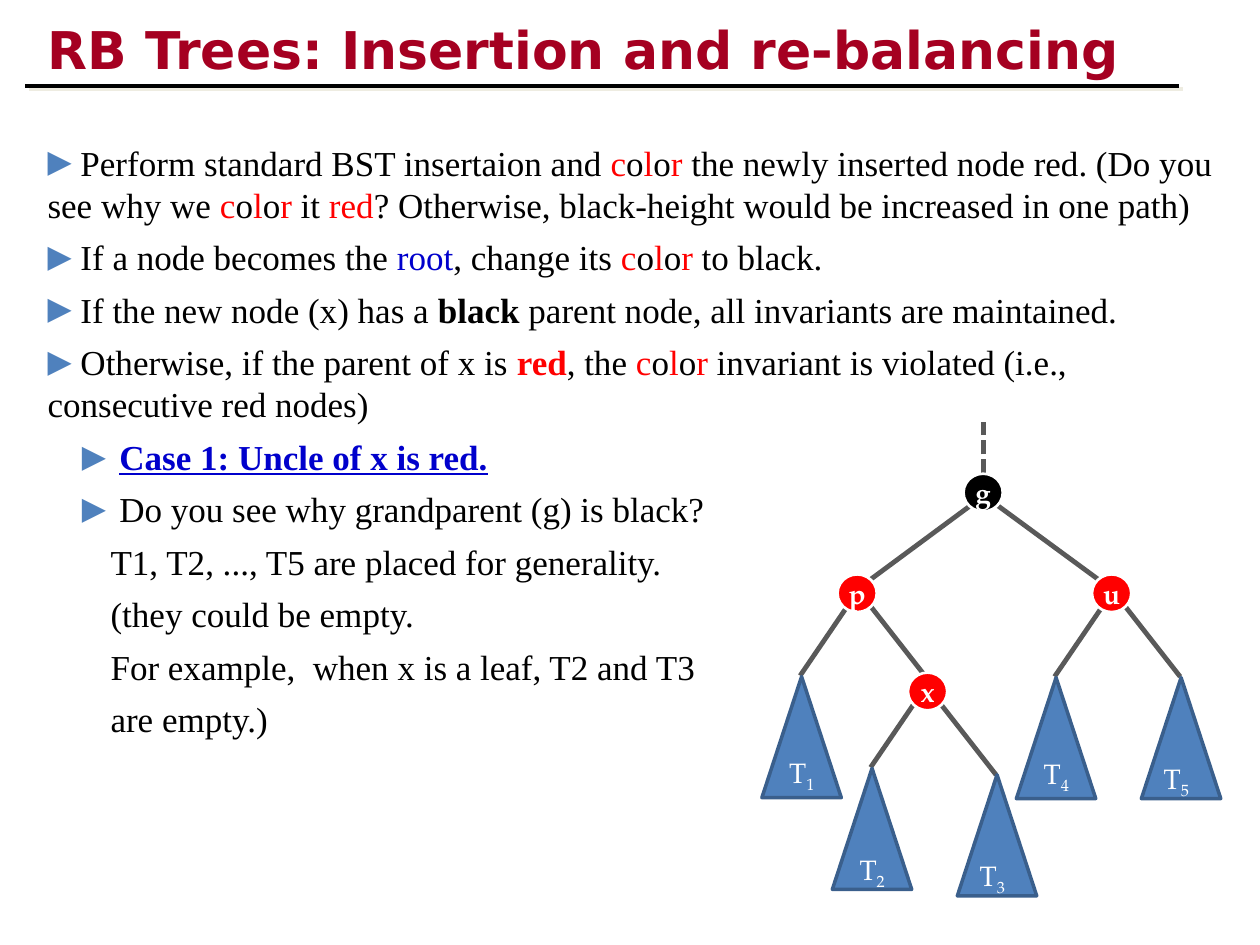
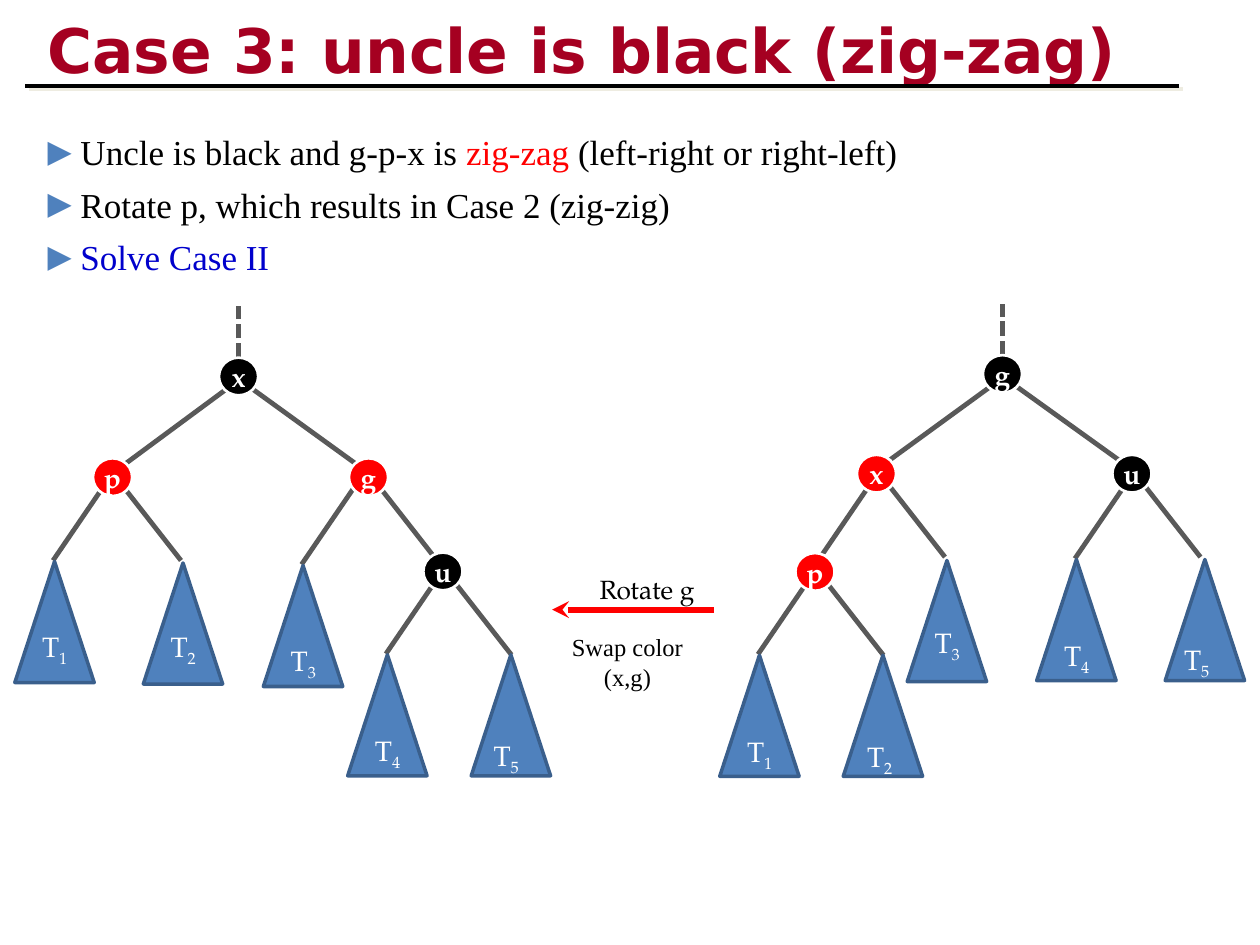
"""Build two slides on rebalancing red-black trees after insertion."""
from dataclasses import dataclass
from typing import Optional

from lxml.etree import SubElement
from pptx import Presentation
from pptx.dml.color import RGBColor
from pptx.enum.dml import MSO_LINE
from pptx.enum.shapes import MSO_CONNECTOR, MSO_SHAPE
from pptx.enum.text import MSO_ANCHOR, PP_ALIGN
from pptx.oxml.ns import qn
from pptx.util import Cm, Pt


@dataclass(frozen=True)
class Theme:
    title: str = "A50021"
    shadow: str = "EEECE1"
    black: str = "000000"
    white: str = "FFFFFF"
    red: str = "FF0000"
    blue: str = "0000CC"
    edge: str = "595959"
    accent: str = "4F81BD"
    outline: str = "3A5F8C"
    title_font: str = "DejaVu Sans"
    body_font: str = "Times New Roman"
    tree_font: str = "TeX Gyre Pagella"
    body_size: float = 20
    tree_size: float = 16
    rotate_size: float = 15
    swap_size: float = 14


THEME = Theme()


@dataclass(frozen=True)
class Span:
    text: str
    color: str = THEME.black
    bold: bool = False
    underline: bool = False
    baseline: int = 0


@dataclass(frozen=True)
class Bullet:
    spans: list
    level: int = 0
    marked: bool = True


@dataclass(frozen=True)
class Leaf:
    number: int
    dx: float
    dy: float
    label_x: float = 0.3
    label_y: float = 1.47


@dataclass(frozen=True)
class Node:
    letter: str
    color: str
    dx: float
    dy: float
    left: Optional[object] = None
    right: Optional[object] = None


class Painter:
    NODE_WIDTH, NODE_HEIGHT = 0.79, 0.76
    LEAF_WIDTH, LEAF_HEIGHT = 1.6, 2.44

    def __init__(self, deck, theme):
        self.deck, self.theme, self.page = deck, theme, None

    def new_page(self, title, title_size):
        self.page = self.deck.slides.add_slide(self.deck.slide_layouts[6])
        frame = self.text_frame(0.71, 0.13, 23.01, 1.7, MSO_ANCHOR.MIDDLE)
        span = self.add_span(frame.paragraphs[0], Span(title, self.theme.title, True),
                             self.theme.title_font, title_size)
        fill = span._r.rPr.find(qn("a:solidFill"))
        fill.addnext(self.add_shadow(span._r.rPr))

    def title_rule(self):
        rule = self.line((0.51, 1.73), (23.77, 1.73), self.theme.black, 2.25)
        properties = rule._element.spPr
        properties.remove(properties.find(qn("a:effectLst")))
        self.add_shadow(properties)

    def add_shadow(self, parent):
        effects = SubElement(parent, qn("a:effectLst"))
        shadow = SubElement(effects, qn("a:outerShdw"), blurRad="0", dist=str(Pt(2.8)),
                            dir="2700000", algn="ctr", rotWithShape="0")
        SubElement(shadow, qn("a:srgbClr"), val=self.theme.shadow)
        return effects

    def text_frame(self, left, top, width, height, anchor=MSO_ANCHOR.TOP):
        box = self.page.shapes.add_textbox(Cm(left), Cm(top), Cm(width), Cm(height))
        frame = box.text_frame
        frame.word_wrap = True
        frame.vertical_anchor = anchor
        return frame

    def add_span(self, para, content, font, size):
        span = para.add_run()
        span.text = content.text
        span.font.name, span.font.size = font, Pt(size)
        span.font.bold = content.bold
        span.font.underline = content.underline
        span.font.color.rgb = RGBColor.from_string(content.color)
        if content.baseline:
            span._r.rPr.set("baseline", str(content.baseline * 1000))
        return span

    def text(self, left, top, width, height, spans, font, size, align=PP_ALIGN.LEFT):
        para = self.text_frame(left, top, width, height).paragraphs[0]
        para.alignment = align
        for content in spans:
            self.add_span(para, content, font, size)

    def bullets(self, top, height, items):
        frame = self.text_frame(0.71, top, 24.18, height)
        for index, item in enumerate(items):
            para = frame.add_paragraph() if index else frame.paragraphs[0]
            para.level = item.level
            para.space_before = Pt(6)
            properties = para._p.get_or_add_pPr()
            hanging = item.level and item.marked
            properties.set("marL", str(Cm(1.27 * item.level)))
            properties.set("indent", str(Cm(-0.58) if hanging else 0))
            if item.marked:
                color = SubElement(properties, qn("a:buClr"))
                SubElement(color, qn("a:srgbClr"), val=self.theme.accent)
                SubElement(properties, qn("a:buSzPct"), val="90000")
                SubElement(properties, qn("a:buFont"), typeface=self.theme.title_font)
                SubElement(properties, qn("a:buChar"), char="▶")
            else:
                SubElement(properties, qn("a:buNone"))
            for content in item.spans:
                self.add_span(para, content, self.theme.body_font, self.theme.body_size)

    def line(self, start, end, color, width, dashed=False, arrow=False):
        connector = self.page.shapes.add_connector(
            MSO_CONNECTOR.STRAIGHT, *(Cm(value) for value in (*start, *end)))
        connector.line.color.rgb = RGBColor.from_string(color)
        connector.line.width = Pt(width)
        if dashed:
            connector.line.dash_style = MSO_LINE.SQUARE_DOT
        if arrow:
            SubElement(connector.line._get_or_add_ln(), qn("a:headEnd"), type="stealth")
        SubElement(connector._element.spPr, qn("a:effectLst"))
        return connector

    def edge(self, start, end, dashed=False):
        self.line(start, end, self.theme.edge, 2.75, dashed)

    def shape(self, kind, left, top, width, height, fill, outline, weight):
        shape = self.page.shapes.add_shape(kind, Cm(left), Cm(top), Cm(width), Cm(height))
        shape.shadow.inherit = False
        shape.fill.solid()
        shape.fill.fore_color.rgb = RGBColor.from_string(fill)
        shape.line.color.rgb = RGBColor.from_string(outline)
        shape.line.width = Pt(weight)
        return shape

    def circle(self, node, x, y):
        shape = self.shape(MSO_SHAPE.OVAL, x - self.NODE_WIDTH / 2, y - self.NODE_HEIGHT / 2,
                           self.NODE_WIDTH, self.NODE_HEIGHT, node.color, self.theme.white, 1.5)
        frame = shape.text_frame
        frame.word_wrap = False
        frame.vertical_anchor = MSO_ANCHOR.MIDDLE
        para = frame.paragraphs[0]
        para.alignment = PP_ALIGN.CENTER
        self.add_span(para, Span(node.letter, self.theme.white, True),
                      self.theme.tree_font, self.theme.tree_size)

    def subtree(self, leaf, x, y):
        left = x - self.LEAF_WIDTH / 2
        self.shape(MSO_SHAPE.ISOSCELES_TRIANGLE, left, y, self.LEAF_WIDTH, self.LEAF_HEIGHT,
                   self.theme.accent, self.theme.outline, 2)
        spans = [Span("T", self.theme.white),
                 Span(str(leaf.number), self.theme.white, baseline=-25)]
        self.text(left + leaf.label_x, y + leaf.label_y, 1.07, 0.94, spans,
                  self.theme.tree_font, self.theme.tree_size)

    def branch(self, x, y, child, is_root):
        end_x, end_y = x + child.dx, y + child.dy
        if is_root and child.dx < 0:
            self.edge((x - 0.28, y + 0.28), (end_x + 0.27, end_y - 0.28))
        elif is_root:
            self.edge((x + 0.14, y + 0.15), (end_x - 0.27, end_y - 0.28))
        elif child.dx > 0:
            self.edge((x - 0.13, y - 0.25), (x + 1.38, y + 1.68))
        else:
            shift_x, shift_y = (-0.03, -0.02) if isinstance(child, Leaf) else (0.11, -0.3)
            foot_x, foot_y = end_x + shift_x, end_y + shift_y
            self.edge((foot_x + 1.22, foot_y - 1.79), (foot_x, foot_y))

    def tree(self, node, origin_x=0, origin_y=0, is_root=True):
        x, y = origin_x + node.dx, origin_y + node.dy
        if isinstance(node, Leaf):
            self.subtree(node, x, y)
            return
        if is_root:
            top = y - self.NODE_HEIGHT / 2
            self.edge((x, top), (x, top - 1.04), dashed=True)
        children = (node.left, node.right)
        for child in children:
            self.branch(x, y, child, is_root)
        for child in children:
            self.tree(child, x, y, False)
        self.circle(node, x, y)


RED, BLACK, BLUE = THEME.red, THEME.black, THEME.blue
COLOR_WORD = [Span("c", RED), Span("o"), Span("l", RED), Span("o"), Span("r ", RED)]

INSERTION_STEPS = [
    Bullet([Span(" Perform standard BST insertaion and "), *COLOR_WORD,
            Span("the newly inserted node red. (Do you see why we "), *COLOR_WORD,
            Span("it "), Span("red", RED),
            Span("? Otherwise, black-height would be increased in one path)")]),
    Bullet([Span(" If a node becomes the "), Span("root", BLUE), Span(", change its "),
            *COLOR_WORD, Span("to black.")]),
    Bullet([Span(" If the new node (x) has a "), Span("black", bold=True),
            Span(" parent node, all invariants are maintained.")]),
    Bullet([Span(" Otherwise, if the parent of x is "), Span("red", RED, True),
            Span(", the "), *COLOR_WORD,
            Span("invariant is violated (i.e., consecutive red nodes)")]),
    Bullet([Span(" ", BLUE), Span("Case 1: Uncle of x is red.", BLUE, True, True)], 1),
    Bullet([Span(" Do you see why grandparent (g) is black?")], 1),
    *(Bullet([Span(remark)], 1, False) for remark in (
        "T1, T2, ..., T5 are placed for generality.",
        "(they could be empty.",
        "For example,  when x is a leaf, T2 and T3",
        "are empty.)")),
]

ZIG_ZAG_STEPS = [
    Bullet([Span(" Uncle is black and g-p-x is "), Span("zig-zag", RED),
            Span(" (left-right or right-left)")]),
    Bullet([Span(" Rotate p, which results in Case 2 (zig-zig)")]),
    Bullet([Span(" Solve Case II", BLUE)]),
]

RED_UNCLE_TREE = Node(
    "g", BLACK, 19.82, 9.93,
    Node("p", RED, -2.54, 2.03,
         Leaf(1, -1.12, 1.68),
         Node("x", RED, 1.42, 1.98,
              Leaf(2, -1.12, 1.55, label_y=1.57), Leaf(3, 1.4, 1.68, 0.2, 1.57))),
    Node("u", RED, 2.59, 2.03, Leaf(4, -1.12, 1.7), Leaf(5, 1.4, 1.7, 0.2, 1.57)))

BEFORE_ROTATION = Node(
    "g", BLACK, 20.21, 7.54,
    Node("x", RED, -2.54, 2.01,
         Node("p", RED, -1.24, 1.98, Leaf(1, -1.12, 1.68), Leaf(2, 1.37, 1.68, 0.23, 1.57)),
         Leaf(3, 1.42, 1.75, label_y=1.19)),
    Node("u", BLACK, 2.61, 2.01, Leaf(4, -1.12, 1.73), Leaf(5, 1.47, 1.73, 0.13, 1.55)))

AFTER_ROTATION = Node(
    "x", BLACK, 4.81, 7.59,
    Node("p", RED, -2.54, 2.03,
         Leaf(1, -1.17, 1.7, label_y=1.24), Leaf(2, 1.42, 1.73, label_y=1.22)),
    Node("g", RED, 2.62, 2.03,
         Leaf(3, -1.32, 1.78, label_y=1.45),
         Node("u", BLACK, 1.5, 1.9, Leaf(4, -1.12, 1.68), Leaf(5, 1.37, 1.68, 0.2, 1.57))))


def main():
    deck = Presentation()
    deck.slide_width, deck.slide_height = Cm(25.4), Cm(19.05)
    painter = Painter(deck, THEME)

    painter.new_page("RB Trees: Insertion and re-balancing", 29.7)
    painter.bullets(2.72, 13.51, INSERTION_STEPS)
    painter.title_rule()
    painter.tree(RED_UNCLE_TREE)

    painter.new_page("Case 3: uncle is black (zig-zag)", 35.1)
    painter.bullets(2.51, 3.25, ZIG_ZAG_STEPS)
    painter.title_rule()
    painter.line((11.13, 12.29), (14.4, 12.29), RED, 3.25, arrow=True)
    painter.text(11.84, 11.43, 3.28, 0.89, [Span("Rotate g")],
                 THEME.tree_font, THEME.rotate_size)
    painter.text(11.05, 12.62, 3.2, 1.45, [Span("Swap color (x,g)")],
                 THEME.body_font, THEME.swap_size, PP_ALIGN.CENTER)
    painter.tree(BEFORE_ROTATION)
    painter.tree(AFTER_ROTATION)

    deck.save("out.pptx")


if __name__ == "__main__":
    main()
